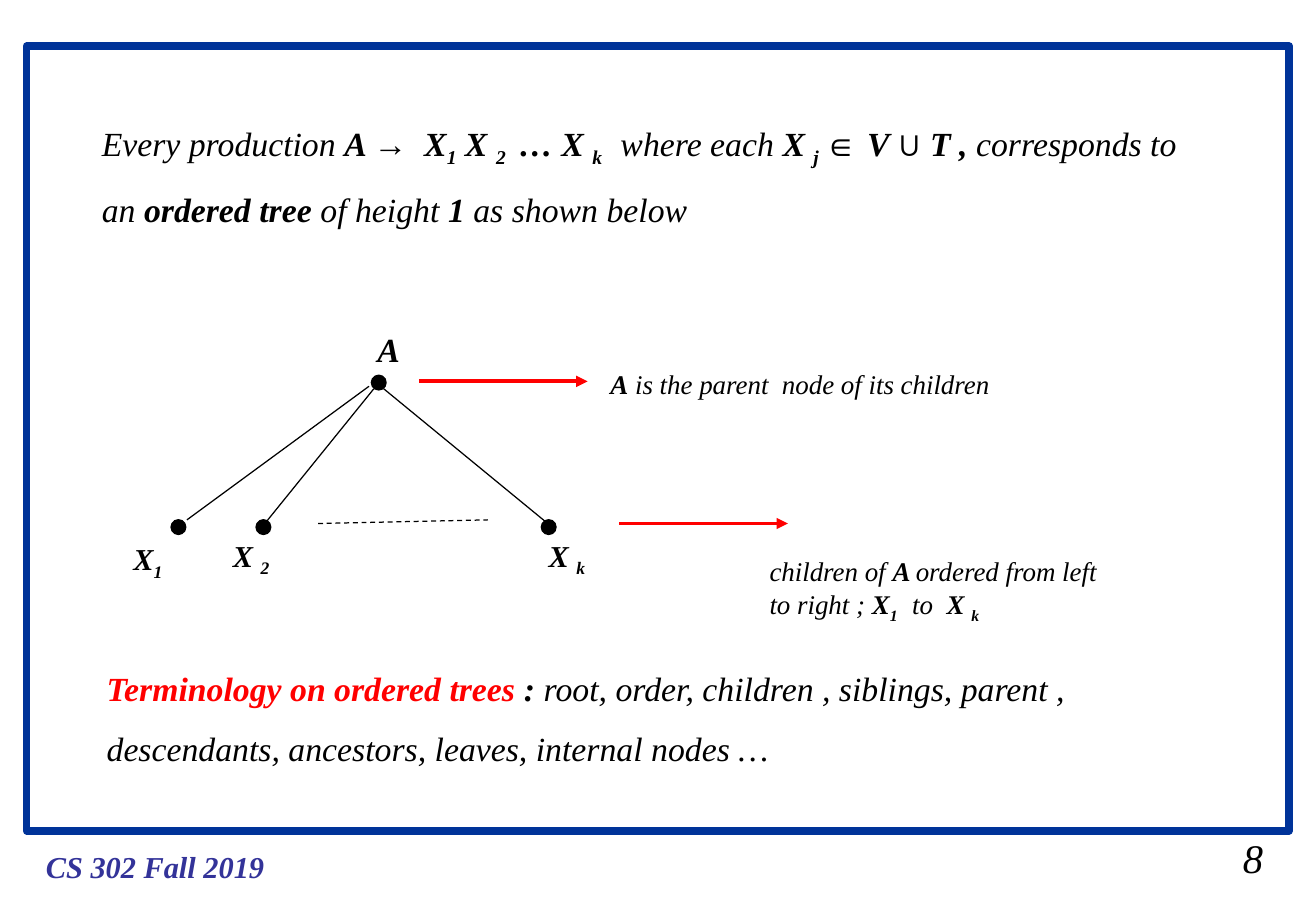
"""Builds a slide on productions as ordered trees of height one."""
from lxml.etree import SubElement
from pptx import Presentation
from pptx.dml.color import RGBColor
from pptx.enum.dml import MSO_LINE
from pptx.enum.shapes import MSO_CONNECTOR, MSO_SHAPE
from pptx.enum.text import MSO_AUTO_SIZE
from pptx.oxml.ns import qn
from pptx.util import Pt

BLACK = RGBColor(0x00, 0x00, 0x00)
RED = RGBColor(0xFF, 0x00, 0x00)
FRAME_BLUE = RGBColor(0x00, 0x33, 0x99)
FOOTER_BLUE = RGBColor(0x33, 0x33, 0x99)

SLIDE_W, SLIDE_H = 780.48, 540
FRAME = (15.84, 27.36, 748.8, 465.12)
DOT = 8.8

# Run flags: b bold, s subscript, a Arial, r red, f footer blue
PRODUCTION = [[
    ("Every production ", ""), ("A ", "b"), ("→", "ba"), ("  X", "b"), ("1", "bs"),
    (" X ", "b"), ("2 ", "bs"), (" … X ", "b"), ("k  ", "bs"), (" where each ", ""),
    ("X ", "b"), ("j ", "bs"), ("∈ ", "a"), ("V ", "b"), ("∪", "ba"), (" T , ", "b"),
    ("corresponds to an ", ""), ("ordered tree", "b"), (" of height ", ""),
    ("1 ", "b"), ("as shown below", ""),
]]
CHILDREN = [
    [("children of ", ""), ("A ", "b"), ("ordered from left", "")],
    [("to right ; ", ""), ("X", "b"), ("1  ", "bs"), (" to  ", ""), ("X ", "b"), ("k", "bs")],
]
PARENT = [[("A", "b"), (" is the parent  node of its children", "")]]
TERMINOLOGY = [
    [("Terminology on ordered trees ", "br"), (": ", "b"),
     ("root, order, children , siblings, parent ,", "")],
    [("descendants, ancestors, leaves, internal nodes …", "")],
]

# Box, size, line spacing, wrap, paragraphs
TEXTS = [
    ((20.16, 498.96, 144, 28.8), 18, 1, False, [[("CS 302 Fall 2019", "bf")]]),
    ((730.08, 490.32, 25.92, 36), 24, 1, False, [[("8", "")]]),
    ((53.28, 55.44, 667.44, 84.24), 20, 1.5, True, PRODUCTION),
    ((449.28, 325.44, 215.28, 48.24), 16, 1, False, CHILDREN),
    ((354.96, 214.56, 240.48, 26.64), 16, 1, False, PARENT),
    ((56.16, 380.16, 589.68, 79.2), 20, 1.5, False, TERMINOLOGY),
    ((216.72, 191.52, 27.36, 31.68), 20, 1, False, [[("A", "b")]]),
    ((72, 316.8, 31.68, 31.68), 18, 1, False, [[("X", "b"), ("1", "bs")]]),
    ((131.04, 314.64, 36, 31.68), 18, 1, False, [[("X ", "b"), ("2", "bs")]]),
    ((318.24, 314.64, 36, 31.68), 18, 1, False, [[("X ", "b"), ("k", "bs")]]),
]
NODES = [(224.64, 226.8), (105.84, 312.48), (156.24, 312.48), (325.44, 312.48)]
EDGES = [
    ((218.88, 228.96), (110.88, 308.16)),
    ((221.76, 230.4), (157.68, 309.6)),
    ((227.52, 230.4), (324, 309.6)),
]
ELLIPSIS_LINE = ((188.64, 310.32), (289.44, 308.16))
ARROW_LENGTH = 100.08
ARROW_STARTS = [(248.4, 226.08), (367.2, 310.32)]


def add_text(slide, box, size, spacing, wrap, paragraphs):
    tf = slide.shapes.add_textbox(*map(Pt, box)).text_frame
    tf.word_wrap = wrap
    tf.auto_size = MSO_AUTO_SIZE.SHAPE_TO_FIT_TEXT
    for i, runs in enumerate(paragraphs):
        p = tf.add_paragraph() if i else tf.paragraphs[0]
        p.line_spacing = spacing
        for text, flags in runs:
            r = p.add_run()
            r.text = text
            font = r.font
            font.size = Pt(size)
            font.name = "Arial" if "a" in flags else "Times New Roman"
            font.italic = True
            font.bold = "b" in flags
            font.color.rgb = RED if "r" in flags else FOOTER_BLUE if "f" in flags else BLACK
            if "s" in flags:
                r._r.get_or_add_rPr().set("baseline", "-25000")


def add_line(slide, start, end, color=BLACK, width=0.75, dash=None, arrow=False):
    line = slide.shapes.add_connector(MSO_CONNECTOR.STRAIGHT, *map(Pt, start + end))
    line.line.color.rgb = color
    line.line.width = Pt(width)
    if dash:
        line.line.dash_style = dash
    if arrow:
        SubElement(line.line._get_or_add_ln(), qn("a:tailEnd"), type="triangle")
    SubElement(line._element.spPr, qn("a:effectLst"))


def add_shape(slide, kind, box, line_color, width, fill=None):
    sp = slide.shapes.add_shape(kind, *map(Pt, box))
    sp.shadow.inherit = False
    sp.line.color.rgb = line_color
    sp.line.width = Pt(width)
    if fill is None:
        sp.fill.background()
    else:
        sp.fill.solid()
        sp.fill.fore_color.rgb = fill


def main():
    prs = Presentation()
    prs.slide_width, prs.slide_height = Pt(SLIDE_W), Pt(SLIDE_H)
    slide = prs.slides.add_slide(prs.slide_layouts[6])
    add_shape(slide, MSO_SHAPE.RECTANGLE, FRAME, FRAME_BLUE, 4.5)
    for text in TEXTS:
        add_text(slide, *text)
    for start, end in EDGES:
        add_line(slide, start, end)
    add_line(slide, *ELLIPSIS_LINE, dash=MSO_LINE.DASH)
    for x, y in ARROW_STARTS:
        add_line(slide, (x, y), (x + ARROW_LENGTH, y), RED, 2.25, arrow=True)
    for x, y in NODES:
        box = (x - DOT / 2, y - DOT / 2, DOT, DOT)
        add_shape(slide, MSO_SHAPE.OVAL, box, BLACK, 0.75, BLACK)
    prs.save("out.pptx")


if __name__ == "__main__":
    main()
